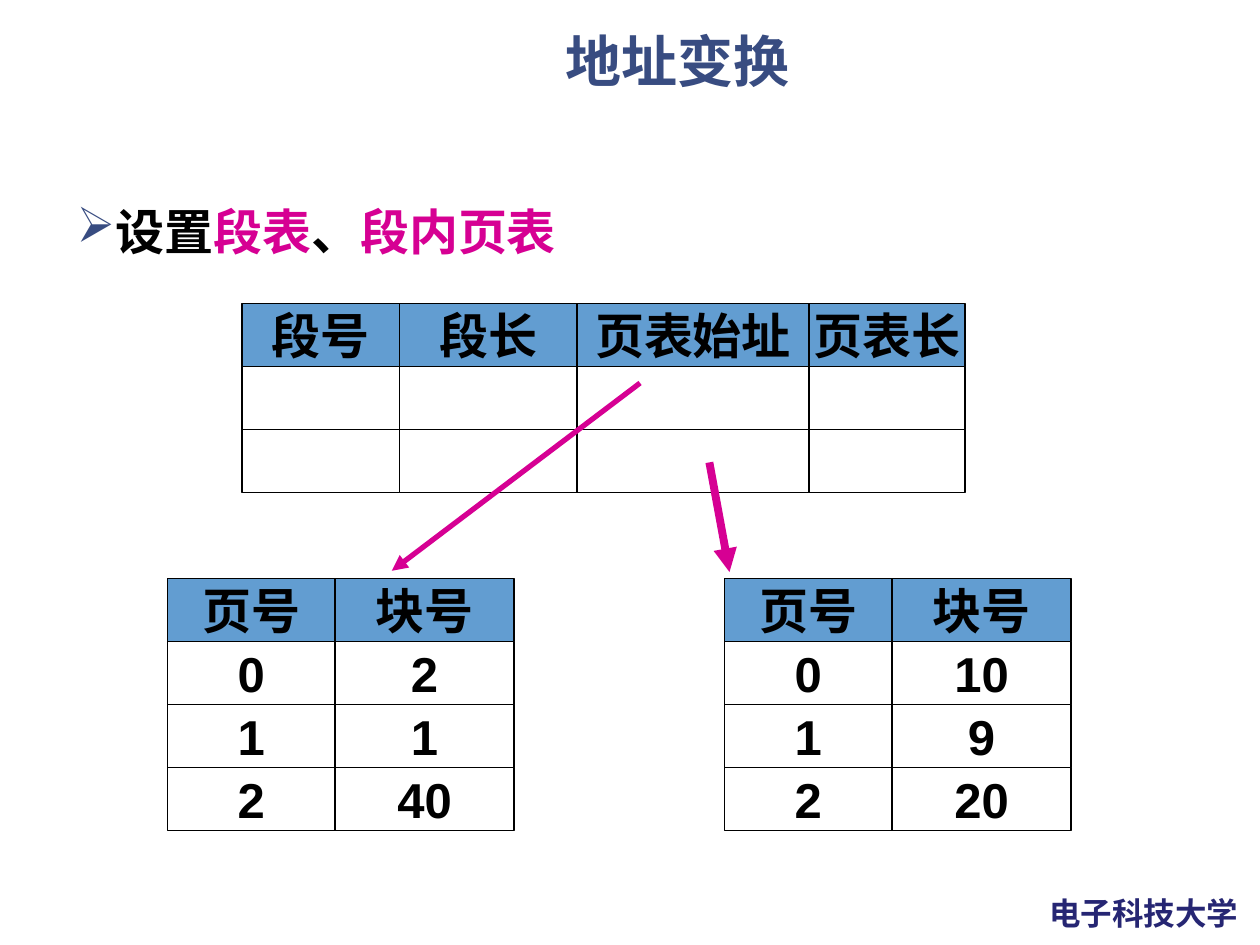
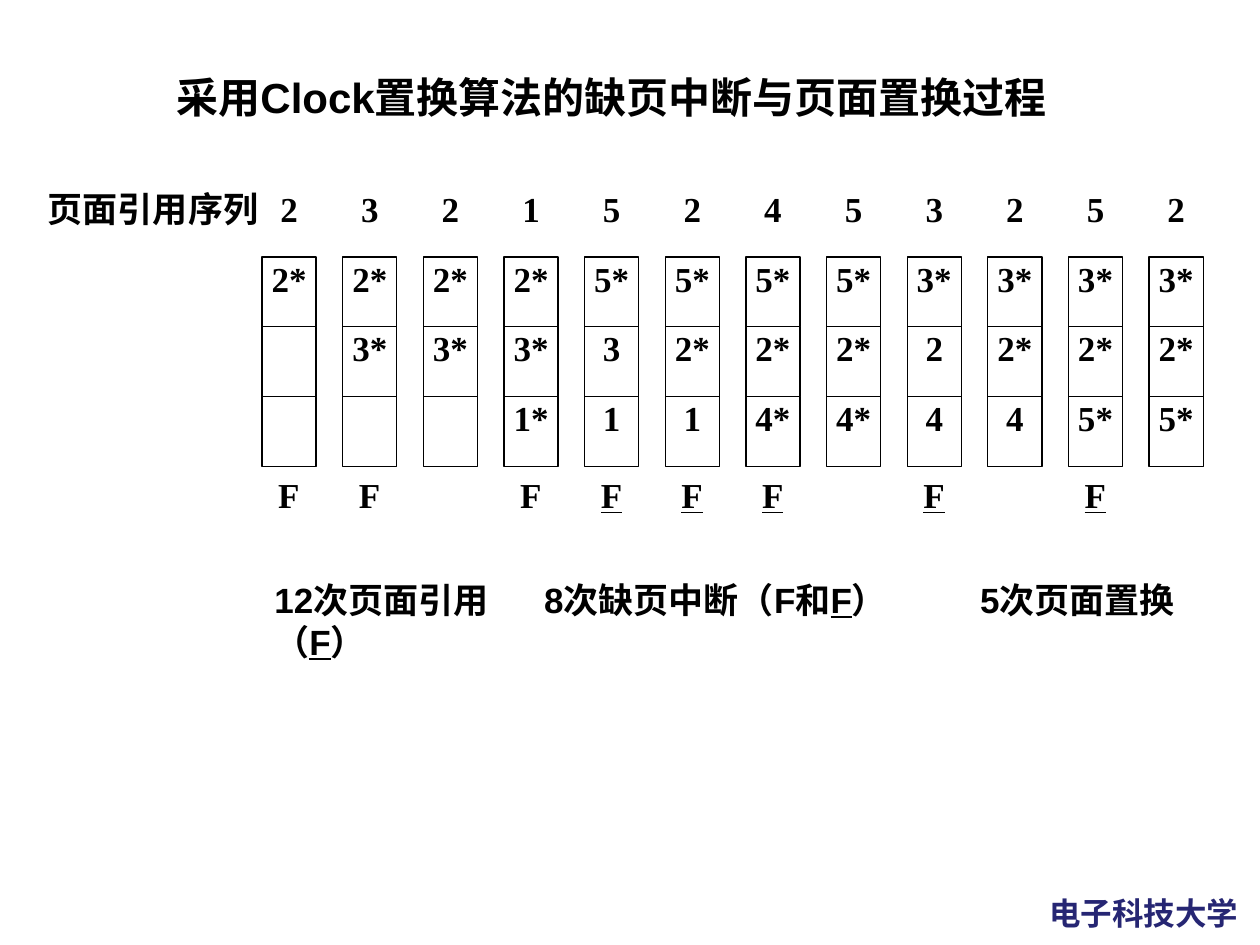
from pptx import Presentation
from pptx.dml.color import RGBColor
from pptx.enum.shapes import MSO_CONNECTOR as Connector, MSO_SHAPE as Shape
from pptx.enum.text import MSO_ANCHOR as Anchor, PP_ALIGN as Align
from pptx.oxml.ns import qn
from pptx.util import Inches, Pt
from lxml.etree import SubElement

COLORS = {
    "white": "FFFFFF",
    "black": "000000",
    "title": "384C81",
    "footer": "262673",
    "header": "629DD1",
    "accent": "D60093",
}
SANS, SERIF = "Arial", "Times New Roman"
CELL_HEIGHT = 0.5

REFERENCES = [2, 3, 2, 1, 5, 2, 4, 5, 3, 2, 5, 2]
FRAMES = [
    ["2*"], ["2*", "3*"], ["2*", "3*"], ["2*", "3*", "1*"],
    ["5*", "3", "1"], ["5*", "2*", "1"], ["5*", "2*", "4*"], ["5*", "2*", "4*"],
    ["3*", "2", "4"], ["3*", "2*", "4"], ["3*", "2*", "5*"], ["3*", "2*", "5*"],
]
FAULT_COLUMNS = {0, 1, 3}
REPLACEMENT_COLUMNS = {4, 5, 6, 8, 10}
FRAME_LEFT, FRAME_TOP, FRAME_PITCH = 2.08, 2.04, 0.64
FRAME_WIDTH, FRAME_HEIGHT, FRAME_ROWS = 0.43, 1.66 / 3, 3
FRAME_CENTERS = [
    FRAME_LEFT + column * FRAME_PITCH + FRAME_WIDTH / 2
    for column in range(len(FRAMES))
]


def rgb(name):
    return RGBColor.from_string(COLORS[name])


def set_margins(text_frame, horizontal, vertical):
    text_frame.margin_left = text_frame.margin_right = Inches(horizontal)
    text_frame.margin_top = text_frame.margin_bottom = Inches(vertical)


def format_font(font, size, color="black", name=SANS, underline=None):
    font.size = Pt(size)
    font.bold = True
    font.name = name
    font.color.rgb = rgb(color)
    font.underline = underline


def add_text(slide, box, runs, size, align=Align.LEFT, wrap=True, inset=True):
    shape = slide.shapes.add_textbox(*map(Inches, box))
    text_frame = shape.text_frame
    text_frame.word_wrap = wrap
    if not inset:
        set_margins(text_frame, 0, 0)
    paragraph = text_frame.paragraphs[0]
    paragraph.alignment = align
    for text, style in runs:
        run = paragraph.add_run()
        run.text = text
        format_font(run.font, size, **style)
    return text_frame


def add_bullet(paragraph, character, color, indent):
    properties = paragraph._p.get_or_add_pPr()
    properties.set("marL", str(Inches(indent)))
    properties.set("indent", str(-Inches(indent)))
    bullet_color = SubElement(properties, qn("a:buClr"))
    SubElement(bullet_color, qn("a:srgbClr"), val=COLORS[color])
    SubElement(properties, qn("a:buChar"), char=character)


def add_tabs(paragraph, positions, align):
    tabs = SubElement(paragraph._p.get_or_add_pPr(), qn("a:tabLst"))
    for position in positions:
        SubElement(tabs, qn("a:tab"), pos=str(Inches(position)), algn=align)


def add_cell(slide, box, text, size, font=SANS, fill=None, anchor=Anchor.MIDDLE):
    shape = slide.shapes.add_shape(Shape.RECTANGLE, *map(Inches, box))
    shape.shadow.inherit = False
    if fill:
        shape.fill.solid()
        shape.fill.fore_color.rgb = rgb(fill)
    else:
        shape.fill.background()
    shape.line.color.rgb = rgb("black")
    shape.line.width = Pt(0.75)
    if text:
        text_frame = shape.text_frame
        text_frame.text = text
        text_frame.word_wrap = False
        text_frame.vertical_anchor = anchor
        set_margins(text_frame, 0, 0)
        paragraph = text_frame.paragraphs[0]
        paragraph.alignment = Align.CENTER
        format_font(paragraph.runs[0].font, size, name=font)


def add_grid(slide, left, top, widths, rows):
    for row, texts in enumerate(rows):
        for column, (width, text) in enumerate(zip(widths, texts)):
            box = (left + sum(widths[:column]), top + row * CELL_HEIGHT,
                   width, CELL_HEIGHT)
            add_cell(slide, box, text, 28, fill="white" if row else "header")


def add_arrow(slide, start, end, width):
    arrow = slide.shapes.add_connector(
        Connector.STRAIGHT, *map(Inches, start + end))
    arrow.line.color.rgb = rgb("accent")
    arrow.line.width = Pt(width)
    SubElement(arrow.line._get_or_add_ln(), qn("a:tailEnd"), type="triangle")
    SubElement(arrow._element.spPr, qn("a:effectLst"))


def add_slide(presentation):
    slide = presentation.slides.add_slide(presentation.slide_layouts[6])
    slide.background.fill.solid()
    slide.background.fill.fore_color.rgb = rgb("white")
    add_text(slide, (8.23, 7.05, 1.73, 0.4),
             [("电子科技大学", {"color": "footer"})], 18, wrap=False)
    return slide


def build_address_slide(presentation):
    slide = add_slide(presentation)
    title = add_text(slide, (1.06, 0.21, 8.64, 0.6),
                     [("地址变换", {"color": "title"})], 32, Align.CENTER)
    title.vertical_anchor = Anchor.MIDDLE
    title.paragraphs[0].line_spacing = 0.9

    accent = {"color": "accent"}
    body = add_text(slide, (0.51, 1.55, 9.25, 0.8),
                    [("设置", {}), ("段表", accent), ("、", {}), ("段内页表", accent)],
                    28)
    add_bullet(body.paragraphs[0], "➢", "title", 0.25)

    segment_rows = [["段号", "段长", "页表始址", "页表长"], [""] * 4, [""] * 4]
    add_grid(slide, 1.92, 2.41, [1.25, 1.41, 1.84, 1.24], segment_rows)
    page_tables = [
        (1.33, ["2", "1", "40"]),
        (5.75, ["10", "9", "20"]),
    ]
    for left, blocks in page_tables:
        rows = [["页号", "块号"]]
        rows += [[str(page), block] for page, block in enumerate(blocks)]
        add_grid(slide, left, 4.59, [1.33, 1.42], rows)
    add_arrow(slide, (5.08, 3.04), (3.11, 4.53), 3)
    add_arrow(slide, (5.63, 3.67), (5.79, 4.54), 4.5)


def add_frames(slide):
    for column, pages in enumerate(FRAMES):
        for row in range(FRAME_ROWS):
            box = (FRAME_LEFT + column * FRAME_PITCH,
                   FRAME_TOP + row * FRAME_HEIGHT, FRAME_WIDTH, FRAME_HEIGHT)
            text = pages[row] if row < len(pages) else ""
            add_cell(slide, box, text, 20, font=SERIF, anchor=Anchor.TOP)


def add_column_text(slide, box, runs, inset):
    text_frame = add_text(slide, box, runs, 20, inset=inset)
    text_left = box[0] + (0.1 if inset else 0)
    add_tabs(text_frame.paragraphs[0],
             [center - text_left for center in FRAME_CENTERS], "ctr")


def build_clock_slide(presentation):
    slide = add_slide(presentation)
    add_text(slide, (0.59, 0.52, 8.53, 0.83),
             [("采用Clock置换算法的缺页中断与页面置换过程", {})], 24, Align.CENTER)
    add_frames(slide)

    serif = {"name": SERIF}
    references = "".join(f"\t{page}" for page in REFERENCES)
    add_column_text(slide, (0.38, 1.49, 9.17, 0.55),
                    [("页面引用序列", {}), (references, serif)], inset=False)

    fault_runs = []
    for column in range(len(FRAMES)):
        fault_runs.append(("\t", serif))
        if column in FAULT_COLUMNS | REPLACEMENT_COLUMNS:
            underline = column in REPLACEMENT_COLUMNS
            fault_runs.append(("F", {"name": SERIF, "underline": underline}))
    add_column_text(slide, (2.08, 3.71, 7.46, 0.83), fault_runs, inset=True)

    replaced = ("F", {"underline": True})
    summary = add_text(
        slide, (2.08, 4.54, 7.46, 0.83),
        [("12次页面引用\t8次缺页中断（F和", {}), replaced,
         ("）\t5次页面置换（", {}), replaced, ("）", {})], 20)
    add_tabs(summary.paragraphs[0], [2.14, 5.6], "l")


def main():
    presentation = Presentation()
    presentation.slide_width = Inches(10)
    presentation.slide_height = Inches(7.5)
    build_address_slide(presentation)
    build_clock_slide(presentation)
    presentation.save("out.pptx")


if __name__ == "__main__":
    main()
